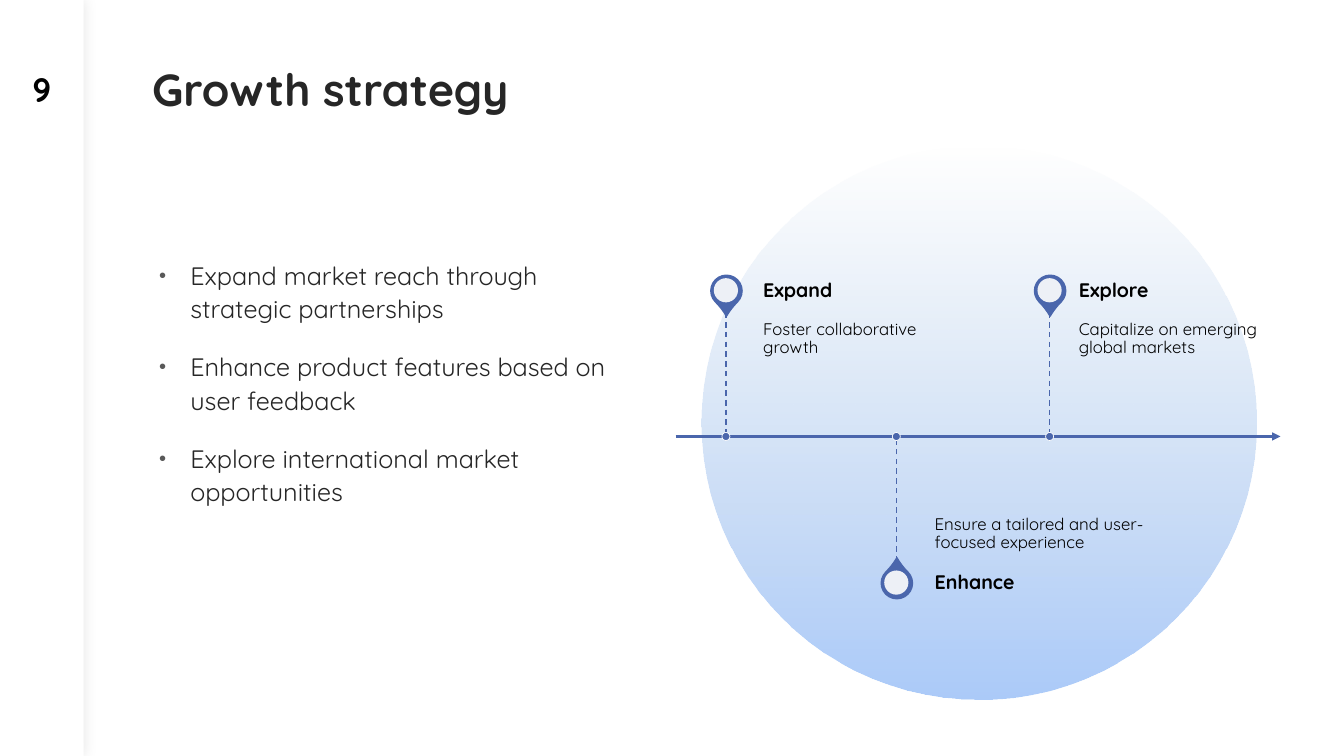
from dataclasses import dataclass

from lxml.etree import SubElement
from pptx import Presentation
from pptx.dml.color import RGBColor
from pptx.enum.dml import MSO_LINE
from pptx.enum.shapes import MSO_CONNECTOR, MSO_SHAPE as SHAPE
from pptx.enum.text import MSO_ANCHOR as ANCHOR, PP_ALIGN as ALIGN
from pptx.oxml.ns import qn
from pptx.shapes.autoshape import Shape
from pptx.shapes.connector import Connector
from pptx.util import Emu, Pt

PX = 9144  # 100 px to the inch
FONT = "Quicksand"
COLORS = {
    "white": "FFFFFF",
    "black": "000000",
    "ink": "262626",
    "bullet": "595959",
    "blue": "4A66AC",
    "sky_top": "B4CCE7",
    "sky_bottom": "ACCBF9",
}
AXIS_Y = 433
PIN, DISC, DOT = 31, 24, 8
LABEL_H, NOTE_H = 43, 123


@dataclass
class Milestone:
    label: str
    note: str
    x: int
    text_x: int
    text_w: int
    above: bool


MILESTONES = [
    Milestone("Expand", "Foster collaborative growth", 720, 757, 204, True),
    Milestone("Enhance", "Ensure a tailored and user-focused experience", 889, 927, 250, False),
    Milestone("Explore", "Capitalize on emerging global markets", 1041, 1070, 196, True),
]
GOALS = [
    "Expand market reach through strategic partnerships",
    "Enhance product features based on user feedback",
    "Explore international market opportunities",
]


def px(n: int) -> Emu:
    return Emu(n * PX)


def rgb(name: str) -> RGBColor:
    return RGBColor.from_string(COLORS[name])


def set_alpha(color_element, percent: int) -> None:
    SubElement(color_element, qn("a:alpha")).set("val", str(percent * 1000))


def add_shape(kind: SHAPE, x: int, y: int, w: int, h: int, fill: str,
              line: str = "", width: float = 1) -> Shape:
    sp = slide.shapes.add_shape(kind, px(x), px(y), px(w), px(h))
    sp.shadow.inherit = False
    sp.fill.solid()
    sp.fill.fore_color.rgb = rgb(fill)
    if line:
        sp.line.color.rgb = rgb(line)
        sp.line.width = Pt(width)
    else:
        sp.line.fill.background()
    return sp


def add_line(x1: int, y1: int, x2: int, y2: int, width: float) -> Connector:
    ln = slide.shapes.add_connector(MSO_CONNECTOR.STRAIGHT, px(x1), px(y1), px(x2), px(y2))
    ln.line.color.rgb = rgb("blue")
    ln.line.width = Pt(width)
    SubElement(ln._element.spPr, qn("a:effectLst"))
    return ln


def add_bullet(p) -> None:
    pPr = p._p.get_or_add_pPr()
    pPr.set("marL", str(px(36)))
    pPr.set("indent", str(px(-31)))
    color = SubElement(pPr, qn("a:buClr"))
    SubElement(color, qn("a:srgbClr")).set("val", COLORS["bullet"])
    SubElement(pPr, qn("a:buSzPct")).set("val", "80000")
    SubElement(pPr, qn("a:buFont")).set("typeface", "Arial")
    SubElement(pPr, qn("a:buChar")).set("char", "•")


def add_text(lines: list[str], x: int, y: int, w: int, h: int, size: int,
             color: str = "black", bold: bool = False, spacing: float = 1.0,
             anchor: ANCHOR = ANCHOR.TOP, align: ALIGN = ALIGN.LEFT,
             insets: tuple[int, int, int, int] = (10, 5, 10, 5),
             bullets: bool = False) -> None:
    tf = slide.shapes.add_textbox(px(x), px(y), px(w), px(h)).text_frame
    tf.word_wrap = True
    tf.vertical_anchor = anchor
    tf.margin_left, tf.margin_top, tf.margin_right, tf.margin_bottom = map(px, insets)
    for i, text in enumerate(lines):
        p = tf.add_paragraph() if i else tf.paragraphs[0]
        p.text = text
        if bullets:
            add_bullet(p)
        p.alignment = align
        p.line_spacing = spacing
        if i:
            p.space_before = Pt(18)
        font = p.runs[0].font
        font.name, font.size, font.bold = FONT, Pt(size), bold
        font.color.rgb = rgb(color)


def add_milestone(m: Milestone) -> None:
    label_y = 267 if m.above else 557
    note_y = 310 if m.above else AXIS_Y
    # Pin, with its tip turned towards the axis
    pin = add_shape(SHAPE.TEAR, m.x - PIN // 2, label_y + 6, PIN, PIN, "blue", "blue")
    pin.adjustments[0] = 1.15
    pin.rotation = 135 if m.above else 315
    disc = add_shape(SHAPE.OVAL, m.x - DISC // 2, label_y + 9, DISC, DISC, "white")
    set_alpha(disc._element.spPr.find(".//" + qn("a:srgbClr")), 90)
    # Note and label
    add_text([m.note], m.text_x, note_y, m.text_w, NOTE_H, 12, spacing=0.9,
             anchor=ANCHOR.TOP if m.above else ANCHOR.BOTTOM,
             insets=(0, 8, 8, 12) if m.above else (0, 12, 0, 8))
    add_text([m.label], m.text_x, label_y, m.text_w, LABEL_H, 14, bold=True,
             spacing=0.9, anchor=ANCHOR.MIDDLE, insets=(0, 0, 10, 0))
    # Stem and dot on the axis
    stem = add_line(m.x, 310 if m.above else 557, m.x, AXIS_Y, 1)
    stem.line.dash_style = MSO_LINE.DASH
    add_shape(SHAPE.OVAL, m.x - DOT // 2, AXIS_Y - DOT // 2, DOT, DOT, "blue", "white", 0.5)


prs = Presentation()
prs.slide_width, prs.slide_height = px(1333), px(750)
slide = prs.slides.add_slide(prs.slide_layouts[6])

# Fading circle
circle = add_shape(SHAPE.OVAL, 696, 144, 550, 550, "sky_bottom")
circle.fill.gradient()
circle.fill.gradient_angle = 270
for stop, position, name in zip(circle.fill.gradient_stops, (0, 1), ("sky_top", "sky_bottom")):
    stop.position = position
    stop.color.rgb = rgb(name)
set_alpha(circle._element.spPr.find(".//" + qn("a:srgbClr")), 0)

# Side strip with a soft shadow
strip = add_shape(SHAPE.RECTANGLE, 0, 0, 83, 750, "white")
effects = strip._element.spPr.find(qn("a:effectLst"))
shadow = SubElement(effects, qn("a:outerShdw"), blurRad=str(Pt(10)), dist="0", dir="0")
set_alpha(SubElement(shadow, qn("a:srgbClr"), val=COLORS["black"]), 10)

# Title, slide number and goals
add_text(["Growth strategy"], 141, 67, 538, 158, 32, "ink", bold=True, spacing=0.8)
add_text(["9"], 0, 67, 83, 42, 24, bold=True, anchor=ANCHOR.MIDDLE, align=ALIGN.CENTER)
add_text(GOALS, 143, 250, 500, 433, 18, "ink", spacing=1.1, bullets=True)

# Timeline
axis = add_line(670, AXIS_Y, 1270, AXIS_Y, 1.5)
SubElement(axis.line._get_or_add_ln(), qn("a:tailEnd")).set("type", "triangle")
for milestone in MILESTONES:
    add_milestone(milestone)

prs.save("out.pptx")
